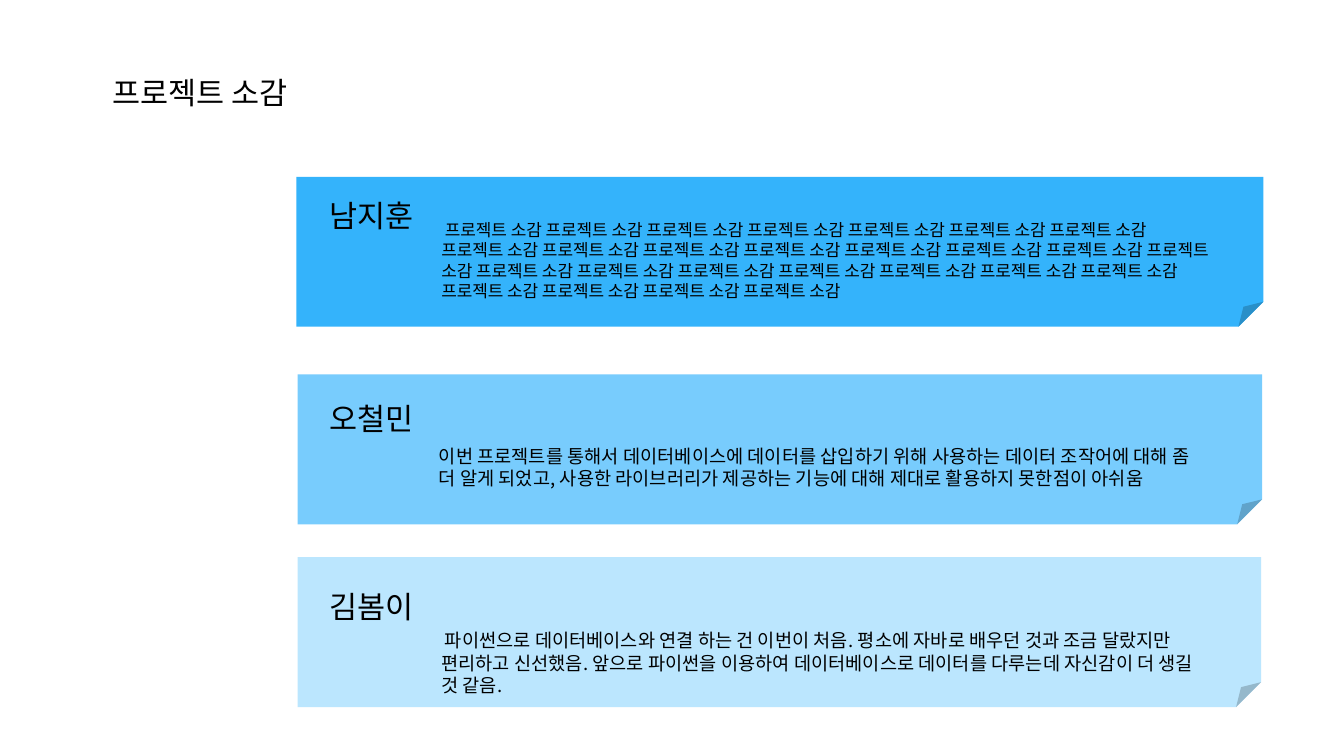
from lxml.etree import SubElement
from pptx import Presentation
from pptx.dml.color import RGBColor
from pptx.enum.shapes import MSO_SHAPE as Shape
from pptx.enum.text import MSO_ANCHOR as Anchor, MSO_AUTO_SIZE as AutoSize, PP_ALIGN as Align
from pptx.oxml.ns import qn
from pptx.util import Inches, Pt

FONT = "Noto Sans CJK KR"
BLACK = RGBColor(0x00, 0x00, 0x00)
STRONG_BLUE = RGBColor(0x34, 0xB3, 0xFB)
MEDIUM_BLUE = RGBColor(0x78, 0xCC, 0xFD)
PALE_BLUE = RGBColor(0xBB, 0xE6, 0xFE)

EN_SPACE = " "
NAME_LEFT, NAME_WIDTH, HEADING_HEIGHT = 23.59, 8.62, 6.45
CARD_HEIGHT, BODY_WIDTH = 19.84, 58.98

REVIEWS = [
    dict(
        name="남지훈", color=STRONG_BLUE, card=(22.05, 23.39, 71.96), name_top=25.32,
        body=(31.94, 28.23, 15.16), size=10, indent=0.03,
        text=EN_SPACE.join(["프로젝트 소감"] * 26),
    ),
    dict(
        name="오철민", color=MEDIUM_BLUE, card=(22.14, 49.52, 71.78), name_top=52.1,
        body=(31.76, 58.06, 10.65), size=11, indent=0,
        text="이번 프로젝트를 통해서 데이터베이스에 데이터를 삽입하기 위해 사용하는 데이터 조작어에 대해 좀 "
             "더 알게 되었고, 사용한 라이브러리가 제공하는 기능에 대해 제대로 활용하지 못한점이 아쉬움",
    ),
    dict(
        name="김봄이", color=PALE_BLUE, card=(22.14, 73.71, 71.69), name_top=76.94,
        body=(31.94, 82.42, 10.65), size=11, indent=0.03,
        text="파이썬으로 데이터베이스와 연결 하는 건 이번이 처음. 평소에 자바로 배우던 것과 조금 달랐지만 "
             "편리하고 신선했음. 앞으로 파이썬을 이용하여 데이터베이스로 데이터를 다루는데 자신감이 더 "
             "생길 것 같음.",
    ),
]


def write_text(shape, text, size=18, color=BLACK, wrap=False, indent=0):
    frame = shape.text_frame
    frame.word_wrap = wrap
    frame.auto_size = AutoSize.SHAPE_TO_FIT_TEXT
    frame.vertical_anchor = Anchor.TOP
    frame.margin_left = frame.margin_right = Inches(0.1)
    frame.margin_top = frame.margin_bottom = Inches(0.05)
    paragraph = frame.paragraphs[0]
    paragraph.alignment = Align.LEFT
    if indent:
        properties = paragraph._p.get_or_add_pPr()
        properties.set("marL", "0")
        properties.set("indent", str(Inches(indent)))
    run = paragraph.add_run()
    run.text = text
    run.font.size = Pt(size)
    run.font.name = FONT
    run.font.color.rgb = color
    SubElement(run._r.get_or_add_rPr(), qn("a:ea"), typeface=FONT)


class ReviewSlide:
    def __init__(self, presentation):
        self.width = presentation.slide_width
        self.height = presentation.slide_height
        self.slide = presentation.slides.add_slide(presentation.slide_layouts[5])

    def place(self, left, top, width, height):
        return (
            round(self.width * left / 100), round(self.height * top / 100),
            round(self.width * width / 100), round(self.height * height / 100),
        )

    def title(self, text, *box):
        shape = self.slide.shapes.title
        shape.left, shape.top, shape.width, shape.height = self.place(*box)
        write_text(shape, text)

    def card(self, color, *box):
        shape = self.slide.shapes.add_shape(Shape.FOLDED_CORNER, *self.place(*box))
        shape.shadow.inherit = False
        shape.fill.solid()
        shape.fill.fore_color.rgb = color
        shape.line.fill.background()

    def text(self, text, *box, **style):
        shape = self.slide.shapes.add_textbox(*self.place(*box))
        write_text(shape, text, **style)


def main():
    presentation = Presentation()
    presentation.slide_width = Inches(11.02)
    presentation.slide_height = Inches(6.2)
    page = ReviewSlide(presentation)
    page.title("프로젝트 소감", 7.44, 9.03, 16.15, HEADING_HEIGHT)
    for review in REVIEWS:
        page.card(review["color"], *review["card"], CARD_HEIGHT)
        page.text(review["name"], NAME_LEFT, review["name_top"], NAME_WIDTH, HEADING_HEIGHT)
        left, top, height = review["body"]
        page.text(review["text"], left, top, BODY_WIDTH, height,
                  size=review["size"], wrap=True, indent=review["indent"])
    presentation.save("out.pptx")


if __name__ == "__main__":
    main()
